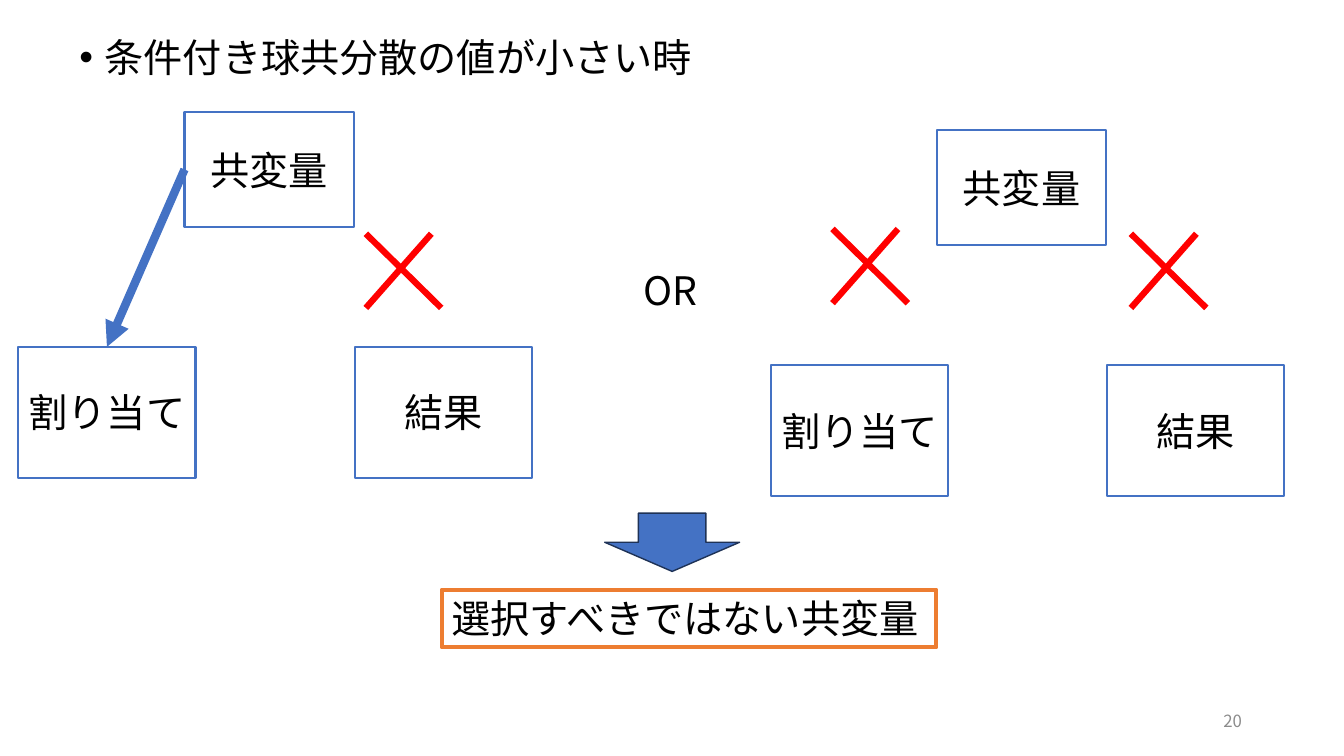
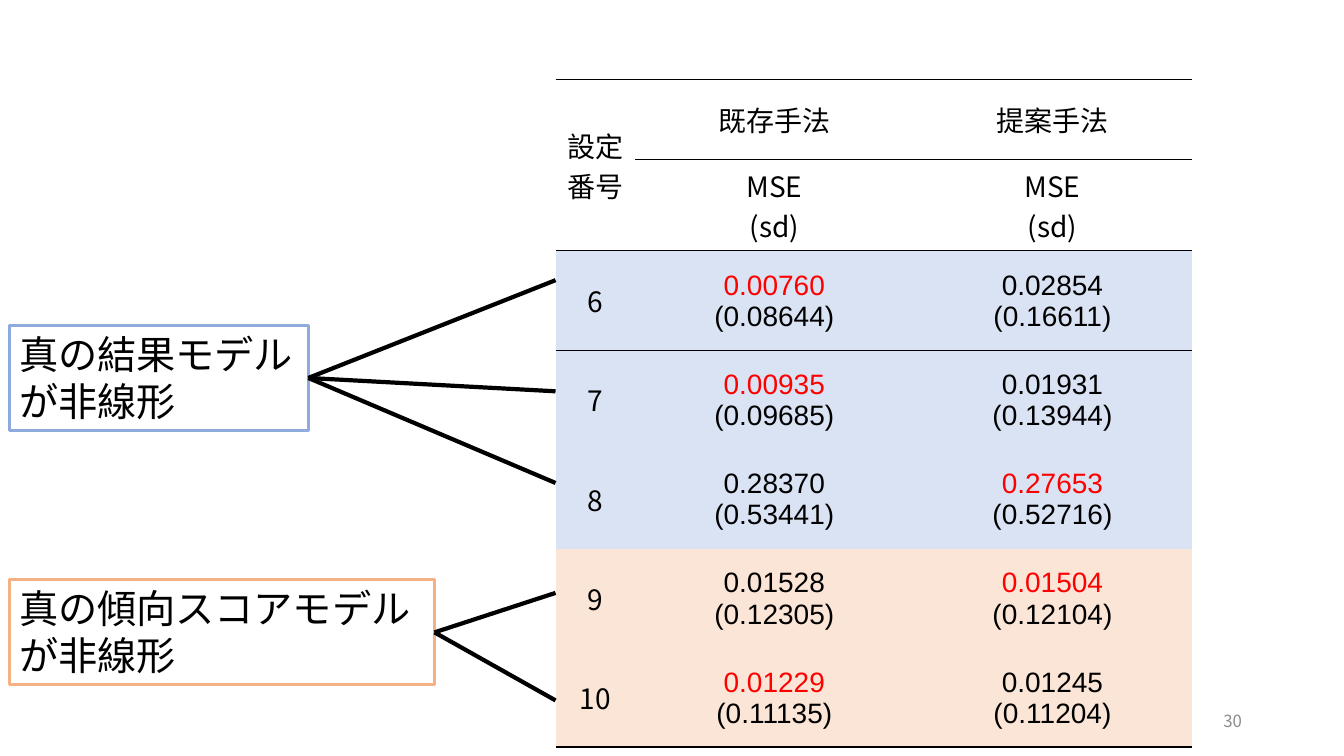
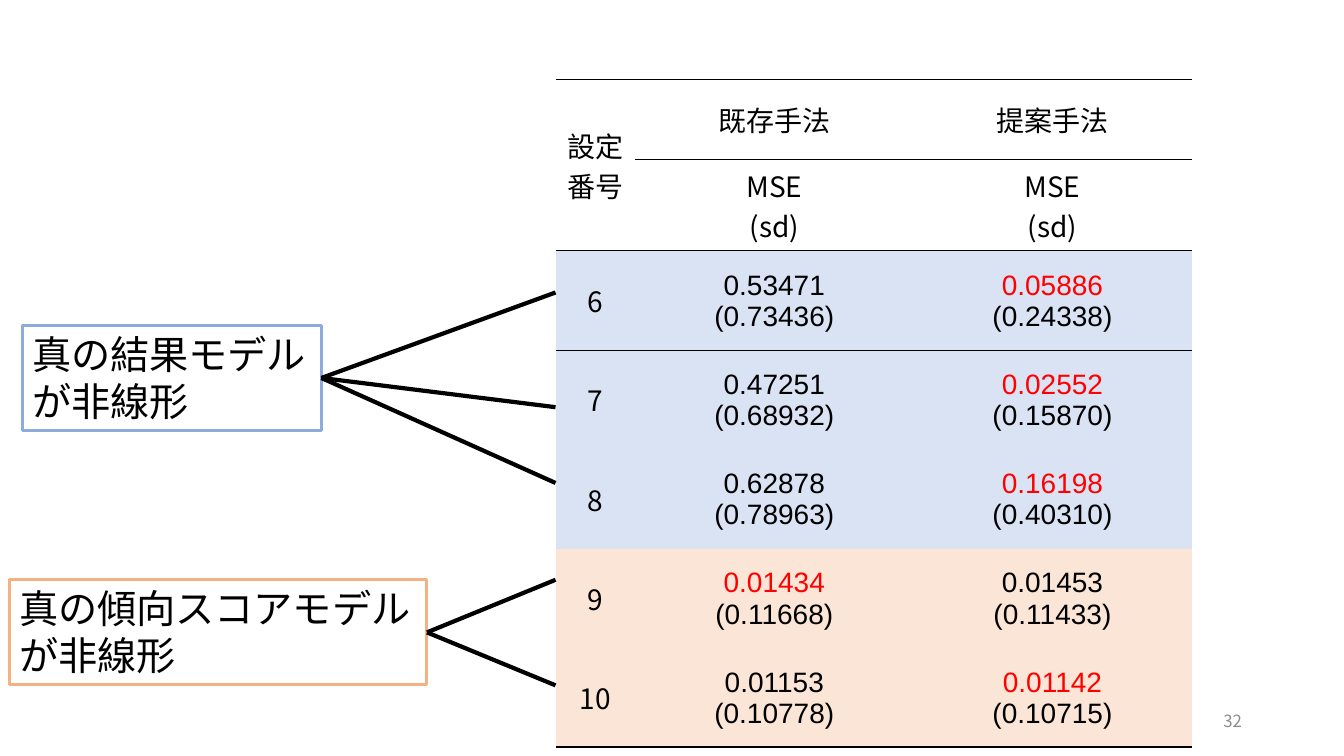
from dataclasses import dataclass

from lxml.etree import SubElement
from pptx import Presentation
from pptx.dml.color import RGBColor
from pptx.enum.shapes import MSO_CONNECTOR, MSO_SHAPE
from pptx.enum.text import MSO_ANCHOR, MSO_AUTO_SIZE, PP_ALIGN
from pptx.oxml.ns import qn
from pptx.shapes.autoshape import Shape
from pptx.shapes.connector import Connector
from pptx.slide import Slide
from pptx.table import _Cell
from pptx.text.text import TextFrame
from pptx.util import Cm, Pt

FONT = "Noto Sans CJK JP"
BLACK, WHITE, GRAY, RED = "000000", "FFFFFF", "8C8C8C", "FF0000"
BLUE, NAVY, ORANGE = "4472C4", "1E3256", "ED7D31"
SKY, PEACH = "8FAADC", "F4B183"
PALE_BLUE, PALE_ORANGE = "DAE3F3", "FBE5D6"
PLAIN_STYLE = "{2D5ABB26-0587-4C30-8999-92F81FD0307C}"
LEFT, CENTER, RIGHT = PP_ALIGN.LEFT, PP_ALIGN.CENTER, PP_ALIGN.RIGHT
TOP, MIDDLE = MSO_ANCHOR.TOP, MSO_ANCHOR.MIDDLE

TABLE_X, TABLE_Y = 14, 2.01
COLS = (2.01, 7.01, 7.01)
ROWS = (2.01,) * 2 + (2.5,) * 5


@dataclass(frozen=True)
class Box:
    """A rectangle in centimetres."""
    x: float
    y: float
    w: float
    h: float

    def move(self, dx: float, dy: float) -> "Box":
        return Box(self.x + dx, self.y + dy, self.w, self.h)

    def lengths(self) -> tuple[Cm, ...]:
        return Cm(self.x), Cm(self.y), Cm(self.w), Cm(self.h)


@dataclass(frozen=True)
class Label:
    """A framed label with lines that fan out to heights on the table edge."""
    text: str
    box: Box
    color: str
    ends: tuple[float, ...]


@dataclass(frozen=True)
class Trial:
    """One setting: MSE and sd of the old and the new method."""
    number: int
    old: str
    old_sd: str
    new: str
    new_sd: str


@dataclass(frozen=True)
class Report:
    page: int
    trials: tuple[Trial, ...]
    labels: tuple[Label, ...]


OUTCOME = "真の結果モデルが非線形"
SCORE = "真の傾向スコアモデルが非線形"
REPORTS = (
    Report(30, (
        Trial(6, "0.00760", "0.08644", "0.02854", "0.16611"),
        Trial(7, "0.00935", "0.09685", "0.01931", "0.13944"),
        Trial(8, "0.28370", "0.53441", "0.27653", "0.52716"),
        Trial(9, "0.01528", "0.12305", "0.01504", "0.12104"),
        Trial(10, "0.01229", "0.11135", "0.01245", "0.11204"),
    ), (
        Label(OUTCOME, Box(0.23, 8.2, 7.54, 2.65), SKY, (7.06, 9.86, 12.17)),
        Label(SCORE, Box(0.23, 14.61, 10.72, 2.65), PEACH, (14.94, 17.65)),
    )),
    Report(32, (
        Trial(6, "0.53471", "0.73436", "0.05886", "0.24338"),
        Trial(7, "0.47251", "0.68932", "0.02552", "0.15870"),
        Trial(8, "0.62878", "0.78963", "0.16198", "0.40310"),
        Trial(9, "0.01434", "0.11668", "0.01453", "0.11433"),
        Trial(10, "0.01153", "0.10778", "0.01142", "0.10715"),
    ), (
        Label(OUTCOME, Box(0.56, 8.2, 7.54, 2.65), SKY, (7.37, 10.26, 12.17)),
        Label(SCORE, Box(0.23, 14.61, 10.53, 2.65), PEACH, (14.61, 17.27)),
    )),
)


def paint(color: str) -> RGBColor:
    return RGBColor.from_string(color)


def write(frame: TextFrame, text: str, *, size: float = 28, color: str = BLACK,
          first: str = "", font: str = FONT, align: PP_ALIGN = LEFT,
          anchor: MSO_ANCHOR = TOP, wrap: bool = True, grow: bool = False,
          bullet: str = "") -> None:
    """Fill a frame, one paragraph a line; first is the first line's colour."""
    frame.word_wrap = wrap
    frame.vertical_anchor = anchor
    if grow:
        frame.auto_size = MSO_AUTO_SIZE.SHAPE_TO_FIT_TEXT
    for at, line in enumerate(text.split("\n")):
        para = frame.add_paragraph() if at else frame.paragraphs[0]
        para.alignment = align
        if bullet:
            para.line_spacing = 0.9
            props = para._p.get_or_add_pPr()
            props.set("marL", str(Cm(0.64)))
            props.set("indent", str(-Cm(0.64)))
            SubElement(props, qn("a:buFont"), typeface="Arial")
            SubElement(props, qn("a:buChar"), char=bullet)
        run = para.add_run()
        run.text = line
        run.font.size = Pt(size)
        run.font.name = font
        run.font.color.rgb = paint(first if first and not at else color)
        SubElement(run._r.get_or_add_rPr(), qn("a:ea"), typeface=font)


def note(slide: Slide, box: Box, text: str, **style) -> None:
    """Add a text box without a frame."""
    write(slide.shapes.add_textbox(*box.lengths()).text_frame, text, **style)


def block(slide: Slide, box: Box, line: str, width: float, fill: str = "",
          kind: MSO_SHAPE = MSO_SHAPE.RECTANGLE) -> Shape:
    shape = slide.shapes.add_shape(kind, *box.lengths())
    shape.shadow.inherit = False
    if fill:
        shape.fill.solid()
        shape.fill.fore_color.rgb = paint(fill)
    else:
        shape.fill.background()
    shape.line.color.rgb = paint(line)
    shape.line.width = Pt(width)
    return shape


def link(slide: Slide, start: tuple[float, float], end: tuple[float, float],
         color: str, width: float, arrow: bool = False) -> Connector:
    points = [Cm(n) for n in (*start, *end)]
    line = slide.shapes.add_connector(MSO_CONNECTOR.STRAIGHT, *points)
    line.line.color.rgb = paint(color)
    line.line.width = Pt(width)
    if arrow:
        SubElement(line.line._get_or_add_ln(), qn("a:tailEnd"), type="triangle")
    SubElement(line._element.spPr, qn("a:effectLst"))
    return line


def cross(slide: Slide, x: float, y: float) -> None:
    low = y + 1.87
    link(slide, (x, y), (x + 1.9, low), RED, 4.5)
    link(slide, (x, low), (x + 1.65, y), RED, 4.5)


def number(slide: Slide, page: int) -> None:
    note(slide, Box(23.93, 17.65, 7.62, 1.02), str(page), size=12, color=GRAY,
         align=RIGHT, anchor=MIDDLE)


def trio(slide: Slide, dx: float = 0, dy: float = 0) -> dict[str, Shape]:
    """Draw the boxes for covariate, assignment and outcome."""
    nodes = {
        "結果": Box(8.94, 8.74, 4.47, 3.3),
        "割り当て": Box(0.46, 8.74, 4.47, 3.3),
        "共変量": Box(4.65, 2.82, 4.27, 2.9),
    }
    shapes = {}
    for name, box in nodes.items():
        shapes[name] = block(slide, box.move(dx, dy), BLUE, 1.5, WHITE)
        write(shapes[name].text_frame, name, align=CENTER, anchor=MIDDLE)
    return shapes


def choice(slide: Slide) -> None:
    """Draw the slide on covariates that should not be selected."""
    note(slide, Box(1.75, 0.84, 29.21, 1.35), "条件付き球共分散の値が小さい時",
         bullet="•")
    nodes = trio(slide)
    arrow = link(slide, (4.65, 4.27), (2.7, 8.74), BLUE, 6, arrow=True)
    arrow.begin_connect(nodes["共変量"], 1)
    arrow.end_connect(nodes["割り当て"], 0)
    note(slide, Box(15.98, 6.58, 1.9, 1.45), "OR", wrap=False, grow=True)
    trio(slide, 18.96, 0.46)
    for x, y in ((20.98, 5.77), (9.22, 5.89), (28.5, 5.89)):
        cross(slide, x, y)
    block(slide, Box(15.24, 12.93, 3.4, 1.47), NAVY, 1, BLUE,
          MSO_SHAPE.DOWN_ARROW)
    result = block(slide, Box(11.13, 14.86, 12.47, 1.45), ORANGE, 3, WHITE)
    write(result.text_frame, "選択すべきではない共変量", wrap=False, grow=True)
    number(slide, 20)


def border(cell: _Cell, *sides: str) -> None:
    for side in sides:
        edge = SubElement(cell._tc.get_or_add_tcPr(), qn(f"a:ln{side}"),
                          w=str(Pt(1)))
        fill = SubElement(edge, qn("a:solidFill"))
        SubElement(fill, qn("a:srgbClr"), val=BLACK)


def put(cell: _Cell, text: str, *sides: str, fill: str = "",
        anchor: MSO_ANCHOR = MIDDLE, **style) -> None:
    """Set a cell's borders, fill and text."""
    border(cell, *sides)
    if fill:
        cell.fill.solid()
        cell.fill.fore_color.rgb = paint(fill)
    else:
        cell.fill.background()
    write(cell.text_frame, text, size=20, align=CENTER, **style)
    cell.vertical_anchor = anchor


def score(cell: _Cell, mse: str, dev: str, best: bool, *sides: str,
          fill: str) -> None:
    cell.margin_left = cell.margin_right = cell.margin_top = Cm(0.03)
    cell.margin_bottom = 0
    put(cell, f"{mse}\n({dev})", *sides, fill=fill, font="Arial",
        first=RED if best else BLACK)


def grid(slide: Slide, trials: tuple[Trial, ...]) -> None:
    box = Box(TABLE_X, TABLE_Y, sum(COLS), sum(ROWS))
    frame = slide.shapes.add_table(len(ROWS), len(COLS), *box.lengths())
    table = frame.table
    table.first_row = table.horz_banding = False
    table._tbl.tblPr.find(qn("a:tableStyleId")).text = PLAIN_STYLE
    for col, width in zip(table.columns, COLS):
        col.width = Cm(width)
    for row, height in zip(table.rows, ROWS):
        row.height = Cm(height)

    table.cell(0, 0).merge(table.cell(1, 0))
    put(table.cell(0, 0), "設定番号", "T", "B")
    border(table.cell(1, 0), "B")
    for col, name in enumerate(("既存手法", "提案手法"), 1):
        put(table.cell(0, col), name, "T", "B")
        put(table.cell(1, col), "MSE\n(sd)", "T", "B", anchor=TOP)

    for row, trial in enumerate(trials, 2):
        sides = {2: "T", len(ROWS) - 1: "B"}.get(row, "")
        fill = PALE_BLUE if trial.number < 9 else PALE_ORANGE
        best = min(trial.old, trial.new)
        put(table.cell(row, 0), str(trial.number), *sides, fill=fill)
        pairs = ((trial.old, trial.old_sd), (trial.new, trial.new_sd))
        for col, (mse, dev) in enumerate(pairs, 1):
            score(table.cell(row, col), mse, dev, mse == best, *sides, fill=fill)


def report(slide: Slide, data: Report) -> None:
    grid(slide, data.trials)
    for label in data.labels:
        box = label.box
        shape = block(slide, box, label.color, 2.25)
        write(shape.text_frame, label.text, grow=True)
        for y in label.ends:
            line = link(slide, (TABLE_X, y), (box.x + box.w, box.y + box.h / 2),
                        BLACK, 3)
            line.end_connect(shape, 3)
    number(slide, data.page)


def main() -> None:
    deck = Presentation()
    deck.slide_width, deck.slide_height = Cm(33.87), Cm(19.05)
    blank = deck.slide_layouts[6]
    choice(deck.slides.add_slide(blank))
    for data in REPORTS:
        report(deck.slides.add_slide(blank), data)
    deck.save("out.pptx")


if __name__ == "__main__":
    main()
